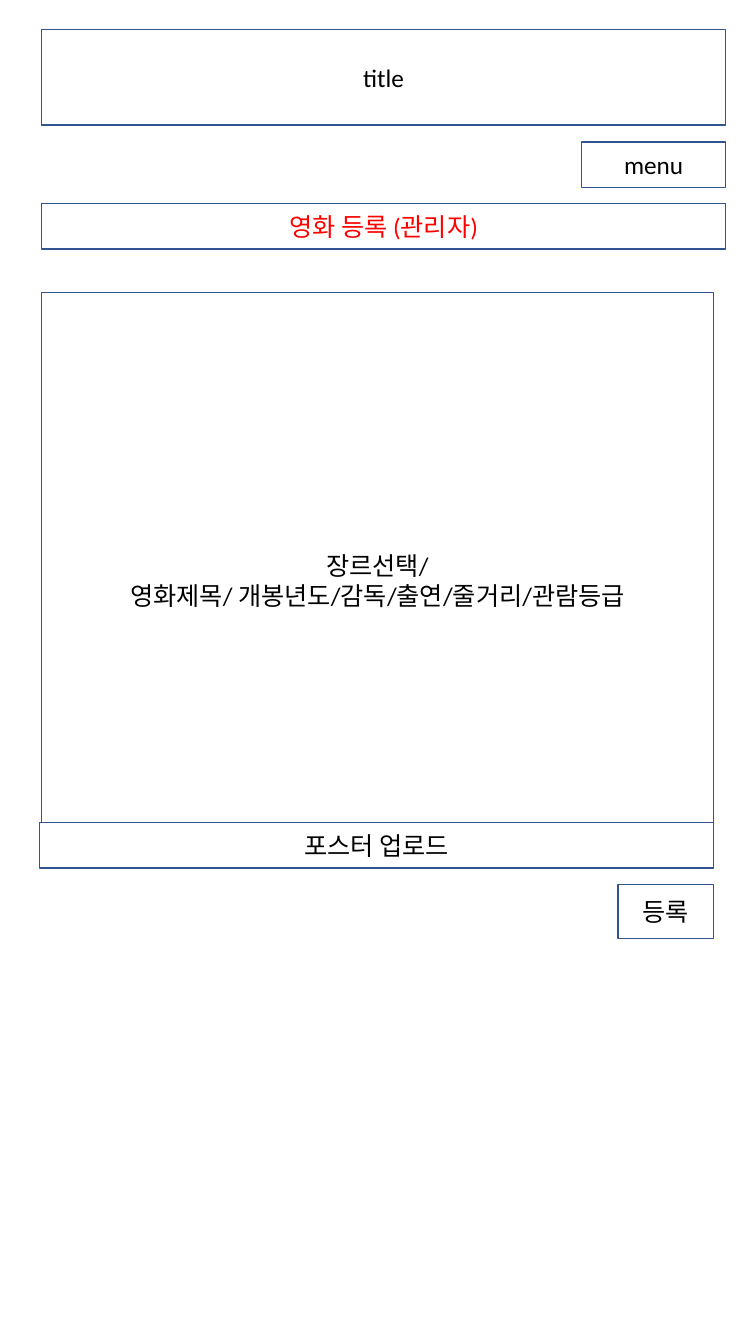
import pptx
import pptx.util
import pptx.dml.color
import pptx.enum.shapes
import pptx.enum.text

EMU_PER_PX = 9144


def px(length):
    return pptx.util.Emu(length * EMU_PER_PX)


def color(hex_string):
    return pptx.dml.color.RGBColor.from_string(hex_string)


class Wireframe:
    font = "Calibri"
    size = 18
    fill = "FFFFFF"
    outline = "325491"
    ink = "000000"
    highlight = "FF0000"

    def __init__(self, deck):
        self.page = deck.slides.add_slide(deck.slide_layouts[5])

    def title(self, text, left, top, width, height):
        box = self.page.shapes.title
        box.left, box.top, box.width, box.height = map(px, (left, top, width, height))
        self.style(box, text, self.ink)

    def box(self, text, left, top, width, height, ink=ink):
        box = self.page.shapes.add_shape(
            pptx.enum.shapes.MSO_SHAPE.RECTANGLE, *map(px, (left, top, width, height)))
        box.shadow.inherit = False
        self.style(box, text, ink)

    def style(self, box, text, ink):
        box.fill.solid()
        box.fill.fore_color.rgb = color(self.fill)
        box.line.color.rgb = color(self.outline)
        box.line.width = pptx.util.Pt(1)
        frame = box.text_frame
        frame.text = text
        frame.word_wrap = True
        frame.auto_size = pptx.enum.text.MSO_AUTO_SIZE.NONE
        frame.vertical_anchor = pptx.enum.text.MSO_ANCHOR.MIDDLE
        for para in frame.paragraphs:
            para.alignment = pptx.enum.text.PP_ALIGN.CENTER
            for span in para.runs:
                span.font.name = self.font
                span.font.size = pptx.util.Pt(self.size)
                span.font.color.rgb = color(ink)


def main():
    deck = pptx.Presentation()
    deck.slide_width, deck.slide_height = px(750), px(1333)

    left, header_right, form_right = 41, 720, 708
    header_width = header_right - left
    row_height = 45

    wireframe = Wireframe(deck)
    wireframe.title("title", left, 29, header_width, 95)
    wireframe.box("menu", header_right - 143, 141, 143, row_height)
    wireframe.box("영화 등록 (관리자)", left, 202, header_width, row_height,
                  ink=wireframe.highlight)
    wireframe.box("장르선택/\n영화제목/ 개봉년도/감독/출연/줄거리/관람등급",
                  left, 290, form_right - left, 571)
    wireframe.box("포스터 업로드", 39, 816, form_right - 39, row_height)
    wireframe.box("등록", form_right - 95, 877, 95, 54)

    deck.save("out.pptx")


if __name__ == "__main__":
    main()
